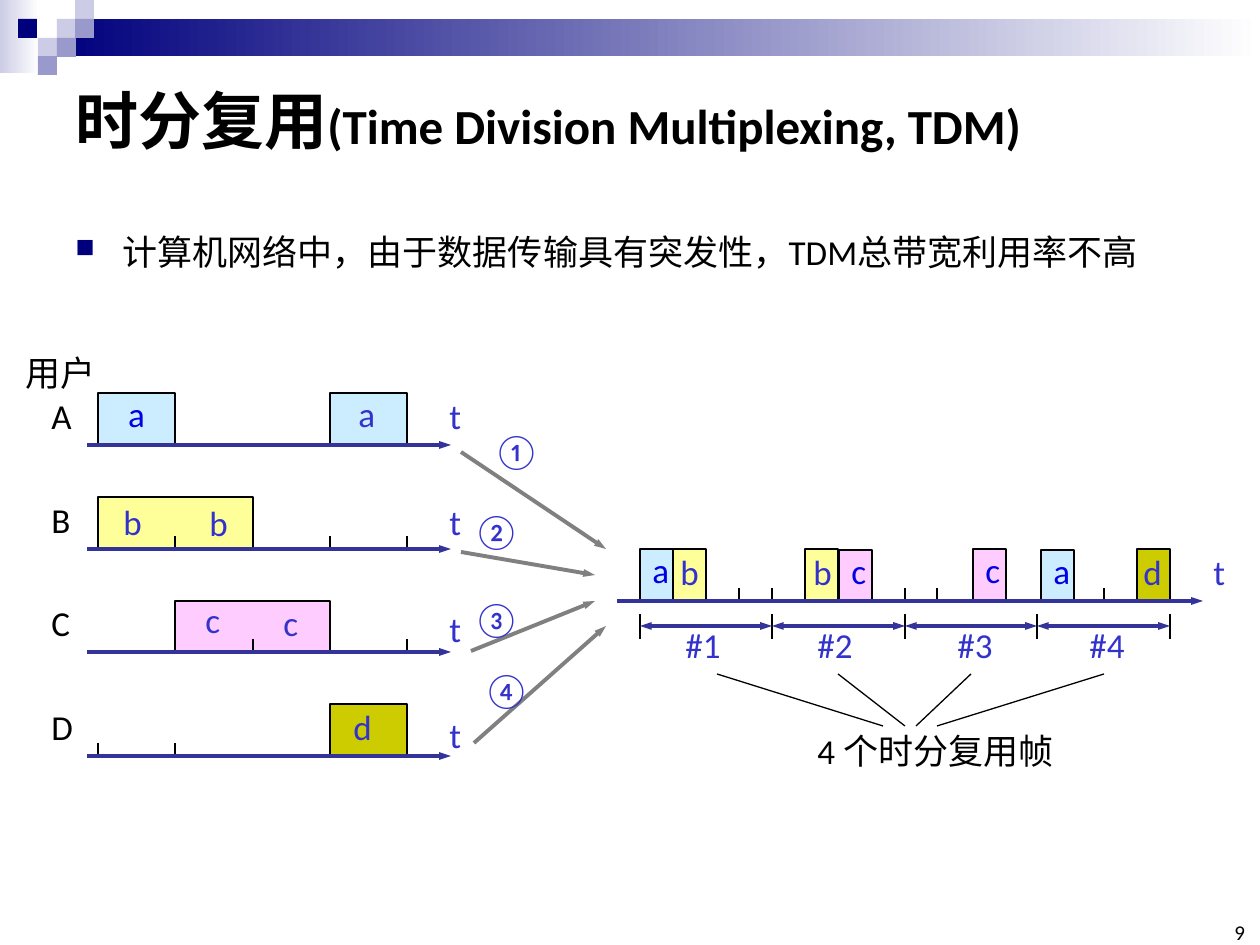
from dataclasses import dataclass
from typing import Any, NamedTuple

from lxml import etree
from pptx import Presentation
from pptx.dml.color import RGBColor
from pptx.enum.shapes import MSO_CONNECTOR, MSO_SHAPE
from pptx.enum.text import MSO_ANCHOR, MSO_AUTO_SIZE, PP_ALIGN
from pptx.oxml.ns import qn
from pptx.util import Pt

SCALE = 914400 / 126
RECTANGLE = MSO_SHAPE.RECTANGLE
STRAIGHT = MSO_CONNECTOR.STRAIGHT
TOP, MIDDLE, BOTTOM = MSO_ANCHOR.TOP, MSO_ANCHOR.MIDDLE, MSO_ANCHOR.BOTTOM
LEFT, CENTER, RIGHT = PP_ALIGN.LEFT, PP_ALIGN.CENTER, PP_ALIGN.RIGHT
FIT, FIXED = MSO_AUTO_SIZE.SHAPE_TO_FIT_TEXT, MSO_AUTO_SIZE.NONE


@dataclass(frozen=True)
class Theme:
    """Colours, fonts and type sizes of the slide."""
    latin: str = "Calibri"
    asian: str = "Noto Sans CJK SC"
    ink: str = "000000"
    white: str = "FFFFFF"
    navy: str = "00007D"
    lilac: str = "CCCCE6"
    violet: str = "9999CC"
    axis: str = "333399"
    letter: str = "3333CC"
    slot_letter: str = "0000E4"
    flow: str = "808080"
    sky: str = "CCECFF"
    yellow: str = "FFFF99"
    pink: str = "FFCCFF"
    olive: str = "CCCC00"
    title: int = 36
    subtitle: int = 28
    body: int = 20
    number: int = 12
    thin: float = 0.75
    thick: float = 2.25


THEME = Theme()


class Tile(NamedTuple):
    """A rectangle of the banner, with an optional second gradient colour."""
    left: int
    top: int
    width: int
    height: int
    colour: str
    fade: str = ""


class Slot(NamedTuple):
    """A time slot, open at its base."""
    left: int
    top: int
    width: int
    colour: str
    text: str = ""
    align: Any = LEFT


class Stroke(NamedTuple):
    """A straight line with optional arrowheads."""
    start: tuple[int, int]
    end: tuple[int, int]
    colour: str = THEME.ink
    weight: float = THEME.thin
    heads: tuple[str, ...] = ()


class Span(NamedTuple):
    """A run of text with its type."""
    text: str
    colour: str = THEME.ink
    size: int = THEME.body
    font: str = THEME.latin
    bold: bool = False


def emu(pixels: float) -> int:
    """Turn pixels into EMU."""
    return round(pixels * SCALE)


def rgb(colour: str) -> RGBColor:
    """Read a colour."""
    return RGBColor.from_string(colour)


def assign(target: Any, values: dict[str, Any]) -> None:
    """Set each attribute named in the values."""
    for name, value in values.items():
        setattr(target, name, value)


def write(frame: Any, spans: list[Span], align: Any = LEFT) -> Any:
    """Write one paragraph of spans and return it."""
    para = frame.paragraphs[0]
    para.alignment = align
    for span in spans:
        run = para.add_run()
        run.text = span.text
        assign(run.font, {"name": span.font, "size": Pt(span.size), "bold": span.bold})
        run.font.color.rgb = rgb(span.colour)
        etree.SubElement(run.font._element, qn("a:ea"), typeface=THEME.asian)
    return para


def add_text(page: Any, area: tuple[int, int, int, int], spans: list[Span],
             align: Any = LEFT, **formats: Any) -> Any:
    """Add a text box and return its paragraph."""
    frame = page.shapes.add_textbox(*map(emu, area)).text_frame
    assign(frame, {"word_wrap": False, "auto_size": FIT, "vertical_anchor": TOP, **formats})
    return write(frame, spans, align)


def add_tile(page: Any, tile: Tile) -> None:
    """Add one banner rectangle."""
    box = page.shapes.add_shape(RECTANGLE, *map(emu, tile[:4]))
    box.shadow.inherit = False
    box.line.fill.background()
    if tile.fade:
        box.fill.gradient()
        box.fill.gradient_angle = 0
        for stop, colour, position in zip(box.fill.gradient_stops, (tile.colour, tile.fade), (0, 1)):
            stop.color.rgb = rgb(colour)
            stop.position = position
    else:
        box.fill.solid()
        box.fill.fore_color.rgb = rgb(tile.colour)


def add_slot(page: Any, slot: Slot) -> None:
    """Add one time slot."""
    base, right = slot.top + 52, slot.left + slot.width
    builder = page.shapes.build_freeform(slot.left, base, scale=SCALE)
    builder.add_line_segments([(slot.left, slot.top), (right, slot.top), (right, base)], close=False)
    box = builder.convert_to_shape()
    box.shadow.inherit = False
    box.fill.solid()
    box.fill.fore_color.rgb = rgb(slot.colour)
    box.line.color.rgb = rgb(THEME.ink)
    box.line.width = Pt(THEME.thin)
    if slot.text:
        assign(box.text_frame, {"margin_top": 0, "margin_bottom": 0, "vertical_anchor": TOP})
        write(box.text_frame, [Span(slot.text, THEME.slot_letter)], slot.align)


def add_stroke(page: Any, stroke: Stroke) -> None:
    """Add one line or arrow."""
    line = page.shapes.add_connector(STRAIGHT, *map(emu, stroke.start + stroke.end))
    line.line.color.rgb = rgb(stroke.colour)
    line.line.width = Pt(stroke.weight)
    properties = line.element.spPr
    for head in stroke.heads:
        etree.SubElement(properties.find(qn("a:ln")), qn(f"a:{head}"), type="triangle", w="sm", len="med")
    etree.SubElement(properties, qn("a:effectLst"))


TILES = [Tile(0, 0, 39, 73, THEME.lilac, THEME.white), Tile(57, 19, 1203, 37, THEME.navy, THEME.white)]
TILES += [Tile(x, y, 19, 19, colour) for x, y, colour in (
    (57, 19, THEME.lilac), (75, 0, THEME.lilac), (75, 19, THEME.violet), (38, 38, THEME.lilac),
    (18, 19, THEME.navy), (57, 38, THEME.violet), (38, 56, THEME.violet))]
SLOTS = [
    Slot(98, 393, 77, THEME.sky, "a", CENTER), Slot(330, 393, 77, THEME.sky),
    Slot(98, 497, 155, THEME.yellow), Slot(175, 601, 155, THEME.pink), Slot(330, 704, 77, THEME.olive),
    Slot(1041, 550, 33, THEME.sky, "a"), Slot(973, 549, 33, THEME.pink, "c"),
    Slot(839, 550, 33, THEME.pink, "c"), Slot(1137, 549, 33, THEME.olive),
    Slot(805, 549, 33, THEME.yellow), Slot(673, 549, 33, THEME.yellow), Slot(640, 549, 33, THEME.sky, "a")]
AXES = (445, 549, 652, 756)
EDGES = (640, 772, 905, 1037, 1170)
TICKS = {549: (175, 330, 407), 652: (253, 407), 756: (98, 175, 330),
         601: (706, 739, 772, 905, 937, 1104)}
FLOWS = (((461, 452), (606, 549)), ((461, 552), (595, 575)),
         ((471, 651), (595, 601)), ((474, 743), (606, 626)))
LEADERS = (((717, 674), (883, 726)), ((838, 674), (905, 726)),
           ((971, 674), (916, 726)), ((1104, 674), (937, 726)))
STROKES = [Stroke((x, y - 13), (x, y)) for y, places in TICKS.items() for x in places]
STROKES += [Stroke((x, 614), (x, 639)) for x in EDGES]
STROKES += [Stroke(start, end) for start, end in LEADERS]
STROKES += [Stroke(start, end, THEME.flow, THEME.thick, ("tailEnd",)) for start, end in FLOWS]
STROKES += [Stroke((x, 626), (right, 626), THEME.axis, THEME.thick, ("headEnd", "tailEnd"))
            for x, right in zip(EDGES, EDGES[1:])]
STROKES += [Stroke((left, y), (right, y), THEME.axis, THEME.thick, ("tailEnd",))
            for left, right, y in [(87, 451, y) for y in AXES] + [(617, 1203, 601)]]
LETTERS = [("a", 346, 386), ("b", 111, 494), ("b", 197, 495), ("c", 193, 592), ("c", 271, 595),
           ("d", 341, 699), ("b", 668, 544), ("b", 801, 544), ("d", 1131, 544), ("t", 1201, 544)]
LETTERS += [("t", 437, y) for y in (388, 494, 601, 707)]
MARKS = [("①", 481, 423), ("②", 461, 503), ("③", 461, 591), ("④", 471, 662)]
MARKS += [(f"#{i}", x, 617) for i, x in enumerate((673, 805, 945, 1077), 1)]
LABELS = [(name, 39, y - 57, 46) for name, y in zip("ABCD", AXES)]
LABELS += [("用户", 13, 345, 96), ("4 个时分复用帧", 805, 723, 272)]
TEXTS = [(text, x, y, 43, THEME.letter) for text, x, y in LETTERS]
TEXTS += [(text, x, y, 60, THEME.letter) for text, x, y in MARKS]
TEXTS += [(*label, THEME.ink) for label in LABELS]


def add_headings(page: Any) -> None:
    """Add the title, the bullet line and the page number."""
    fixed = {"word_wrap": True, "auto_size": FIXED}
    add_text(page, (63, 63, 1134, 112), [
        Span("时分复用", size=THEME.title, font=THEME.asian, bold=True),
        Span("(Time Division Multiplexing, TDM)", size=THEME.subtitle, bold=True),
    ], vertical_anchor=MIDDLE, **fixed)
    para = add_text(page, (63, 224, 1153, 69), [
        Span("计算机网络中，由于数据传输具有突发性，TDM总带宽利用率不高")], **fixed)
    para.space_before = Pt(4)
    properties = para._p.get_or_add_pPr()
    properties.set("marL", str(emu(47)))
    properties.set("indent", str(-emu(47)))
    colour = etree.SubElement(properties, qn("a:buClr"))
    etree.SubElement(colour, qn("a:srgbClr"), val=THEME.navy)
    etree.SubElement(properties, qn("a:buSzPct"), val="75000")
    etree.SubElement(properties, qn("a:buChar"), char="■")
    margins = {f"margin_{side}": 0 for side in ("left", "top", "right", "bottom")}
    add_text(page, (1216, 924, 29, 21), [Span("9", size=THEME.number)], RIGHT,
             vertical_anchor=BOTTOM, **fixed, **margins)


def main() -> None:
    """Build and save the slide."""
    deck = Presentation()
    assign(deck, {"slide_width": emu(1260), "slide_height": emu(945)})
    page = deck.slides.add_slide(deck.slide_layouts[6])
    for items, draw in ((TILES, add_tile), (SLOTS, add_slot), (STROKES, add_stroke)):
        for item in items:
            draw(page, item)
    for text, left, top, width, colour in TEXTS:
        add_text(page, (left, top, width, 55), [Span(text, colour)])
    add_headings(page)
    deck.save("out.pptx")


main()
